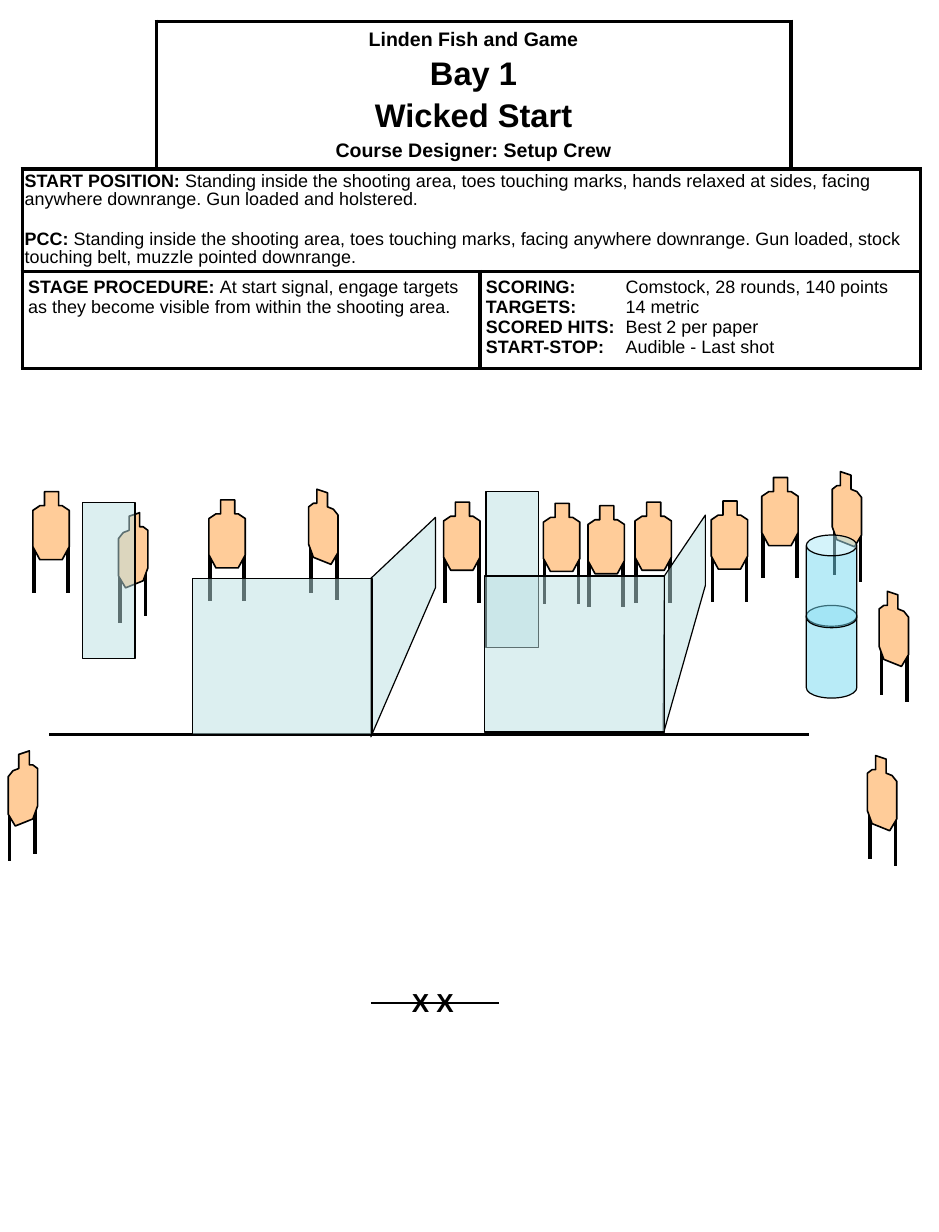
from lxml import etree
from pptx import Presentation
from pptx.dml.color import RGBColor
from pptx.enum.shapes import MSO_CONNECTOR, MSO_SHAPE
from pptx.enum.text import MSO_ANCHOR, PP_ALIGN
from pptx.oxml import parse_xml
from pptx.oxml.ns import nsdecls, qn
from pptx.util import Inches, Pt

STRAIGHT = MSO_CONNECTOR.STRAIGHT
RECT, CAN = MSO_SHAPE.RECTANGLE, MSO_SHAPE.CAN
CENTER, LEFT = PP_ALIGN.CENTER, PP_ALIGN.LEFT

COLORS = {"ink": "000000", "paper": "FFFFFF", "cardboard": "FFCC99",
          "wall": "BBE0E3", "barrel": "73D9F1"}
FONT = "Arial"

TITLE = [("Linden Fish and Game", 12), ("Bay 1", 20), ("Wicked Start", 20),
         ("Course Designer: Setup Crew", 12)]
START = [
    ("START POSITION:", " Standing inside the shooting area, toes touching marks, hands relaxed "
     "at sides, facing anywhere downrange. Gun loaded and holstered."),
    ("PCC: ", "Standing inside the shooting area, toes touching marks, facing anywhere downrange. "
     "Gun loaded, stock touching belt, muzzle pointed downrange."),
]
PROCEDURE = [("STAGE PROCEDURE: ", "At start signal, engage targets as they become visible "
              "from within the shooting area.")]
SCORING = [("SCORING:", "\tComstock, 28 rounds, 140 points"), ("TARGETS:", "\t14 metric"),
           ("SCORED HITS:", "\tBest 2 per paper"), ("START-STOP:", "\tAudible - Last shot")]
COLUMNS, ROWS = [1.14, 2.76, 2.65, 1.1], [1.26, 0.87, 0.83]

TARGETS = {
    "front": {
        "outline": [(.1, 0), (.22, 0), (.22, .12), (.25, .12), (.31, .16), (.31, .47),
                    (.25, .58), (.06, .58), (0, .47), (0, .16), (.06, .12), (.1, .12)],
        "legs": [(.01, .43), (.3, .43)]},
    "right": {
        "outline": [(.16, .03), (.07, 0), (.07, .12), (.04, .12), (0, .15), (0, .47),
                    (.04, .58), (.19, .64), (.25, .54), (.25, .22), (.21, .17), (.16, .15)],
        "legs": [(.24, .51), (.02, .45)]},
}
TARGETS["left"] = {part: [(.25 - x, y) for x, y in points]
                   for part, points in TARGETS["right"].items()}
LEG = 0.43
PANEL, SCREEN, BARREL = (1.53, 1.33), (0.45, 1.33), (0.43, 0.79)

BACK_ROW = [
    ("target", "right", 7.09, 4.02),
    ("wall", SCREEN, 4.14, 4.19),
    ("target", "front", 3.78, 4.28), ("target", "front", 4.63, 4.29),
    ("target", "front", 5.01, 4.31), ("target", "front", 5.41, 4.28),
    ("target", "front", 1.78, 4.26), ("target", "right", 2.63, 4.17),
    ("target", "left", 1.01, 4.37),
]
FRONT_ROW = [
    ("target", "front", 0.28, 4.19),
    ("mark", "X X", 3.41, 8.36),
    ("wing", [(3.71, 5.01), (3.16, 6.28), (3.16, 4.93), (3.71, 4.41)]),
    ("fault", 3.16, 4.25, 8.55),
    ("target", "right", 7.39, 6.44),
    ("fault", 0.42, 6.89, 6.26),
    ("barrels", 6.87, [5.16, 4.56]),
    ("wall", PANEL, 1.64, 4.93), ("wall", SCREEN, 0.7, 4.28),
    ("target", "left", 0.07, 6.4),
    ("wing", [(6.01, 4.99), (5.65, 6.26), (5.66, 4.91), (6.01, 4.39)]),
    ("wall", PANEL, 4.13, 4.91),
    ("target", "right", 7.49, 5.04),
    ("target", "front", 6.06, 4.27), ("target", "front", 6.49, 4.07),
]

deck = Presentation()
deck.slide_width, deck.slide_height = Inches(8), Inches(10.5)
slide = deck.slides.add_slide(deck.slide_layouts[6])


def rgb(name):
    return RGBColor.from_string(COLORS[name])


def paint(shape, color, width, opacity=None):
    shape.shadow.inherit = False
    shape.fill.solid()
    shape.fill.fore_color.rgb = rgb(color)
    if opacity:
        tint = shape.fill._xPr.find(qn("a:solidFill"))[0]
        etree.SubElement(tint, qn("a:alpha")).set("val", str(opacity * 1000))
    shape.line.color.rgb = rgb("ink")
    shape.line.width = Pt(width)


def line(shapes, x1, y1, x2, y2, width):
    stroke = shapes.add_connector(STRAIGHT, *map(Inches, (x1, y1, x2, y2)))
    stroke.line.color.rgb = rgb("ink")
    stroke.line.width = Pt(width)
    etree.SubElement(stroke._element.spPr, qn("a:effectLst"))


def polygon(shapes, points):
    start, *rest = [(Inches(x), Inches(y)) for x, y in points]
    builder = shapes.build_freeform(*start, scale=1.0)
    builder.add_line_segments(rest, close=True)
    return builder.convert_to_shape()


def target(facing, left, top):
    parts = slide.shapes.add_group_shape().shapes
    for x, y in TARGETS[facing]["legs"]:
        line(parts, left + x, top + y, left + x, top + y + LEG, 2.25)
    outline = [(left + x, top + y) for x, y in TARGETS[facing]["outline"]]
    paint(polygon(parts, outline), "cardboard", 1)


def wall(size, left, top):
    panel = slide.shapes.add_shape(RECT, *map(Inches, (left, top, *size)))
    paint(panel, "wall", 0.75, 50)


def wing(points):
    paint(polygon(slide.shapes, points), "wall", 0.75, 50)


def barrels(left, tops):
    stack = slide.shapes.add_group_shape().shapes
    for top in tops:
        barrel = stack.add_shape(CAN, *map(Inches, (left, top, *BARREL)))
        barrel.adjustments[0] = 0.413
        paint(barrel, "barrel", 0.75, 50)


def fault(x1, x2, y):
    line(slide.shapes, x1, y, x2, y, 1.5)


def style(run, size, bold):
    run.font.name, run.font.size, run.font.bold = FONT, Pt(size), bold
    run.font.color.rgb = rgb("ink")


def mark(label, left, top):
    feet = slide.shapes.add_textbox(*map(Inches, (left, top, 0.58, 0.37))).text_frame
    feet.word_wrap = False
    feet.text = label
    style(feet.paragraphs[0].runs[0], 16, True)


def write(cell, entries, align=LEFT, before=0, spacing=None, tab=None):
    for i, runs in enumerate(entries):
        frame = cell.text_frame
        paragraph = frame.add_paragraph() if i else frame.paragraphs[0]
        if tab:
            paragraph._p.get_or_add_pPr().append(parse_xml(
                f'<a:tabLst {nsdecls("a")}><a:tab pos="{Inches(tab)}" algn="l"/></a:tabLst>'))
        paragraph.alignment = align
        paragraph.space_before = Pt(before if i else 0)
        if spacing:
            paragraph.line_spacing = spacing
        for text, size, bold in runs:
            run = paragraph.add_run()
            run.text = text
            style(run, size, bold)


def labelled(entries):
    return [[(label, 11, True), (text, 11, False)] for label, text in entries]


def border(cell, sides):
    properties = cell._tc.get_or_add_tcPr()
    for i, side in enumerate("LRTB"):
        fill = (f'<a:solidFill><a:srgbClr val="{COLORS["ink"]}"/></a:solidFill>'
                if side in sides else "<a:noFill/>")
        properties.insert(i, parse_xml(
            f'<a:ln{side} {nsdecls("a")} w="{Pt(2.25)}">{fill}</a:ln{side}>'))


def briefing():
    table = slide.shapes.add_table(len(ROWS), len(COLUMNS), *map(
        Inches, (0.19, 0.18, sum(COLUMNS), sum(ROWS)))).table
    table.first_row = table.horz_banding = False
    for column, width in zip(table.columns, COLUMNS):
        column.width = Inches(width)
    for row, height in zip(table.rows, ROWS):
        row.height = Inches(height)
    corners = {(0, 0): "RB", (0, 3): "LB"}
    for r in range(len(ROWS)):
        for c in range(len(COLUMNS)):
            cell = table.cell(r, c)
            cell.fill.solid()
            cell.fill.fore_color.rgb = rgb("paper")
            cell.margin_left = cell.margin_right = Inches(0.02 if r == 1 else 0.05)
            cell.margin_top = cell.margin_bottom = Inches(0.04 if r == 1 else 0.05)
            border(cell, corners.get((r, c), "LRTB"))
    for first, last in [((0, 1), (0, 2)), ((1, 0), (1, 3)), ((2, 0), (2, 1)), ((2, 2), (2, 3))]:
        table.cell(*first).merge(table.cell(*last))
    table.cell(0, 1).vertical_anchor = MSO_ANCHOR.MIDDLE
    write(table.cell(0, 1), [[(text, size, True)] for text, size in TITLE], CENTER, before=3.4)
    write(table.cell(1, 0), labelled(START), before=13, spacing=0.9)
    write(table.cell(2, 0), labelled(PROCEDURE))
    write(table.cell(2, 2), labelled(SCORING), tab=1.19)


DRAW = {"target": target, "wall": wall, "wing": wing, "barrels": barrels,
        "fault": fault, "mark": mark}
for kind, *details in BACK_ROW:
    DRAW[kind](*details)
briefing()
for kind, *details in FRONT_ROW:
    DRAW[kind](*details)
deck.save("out.pptx")
